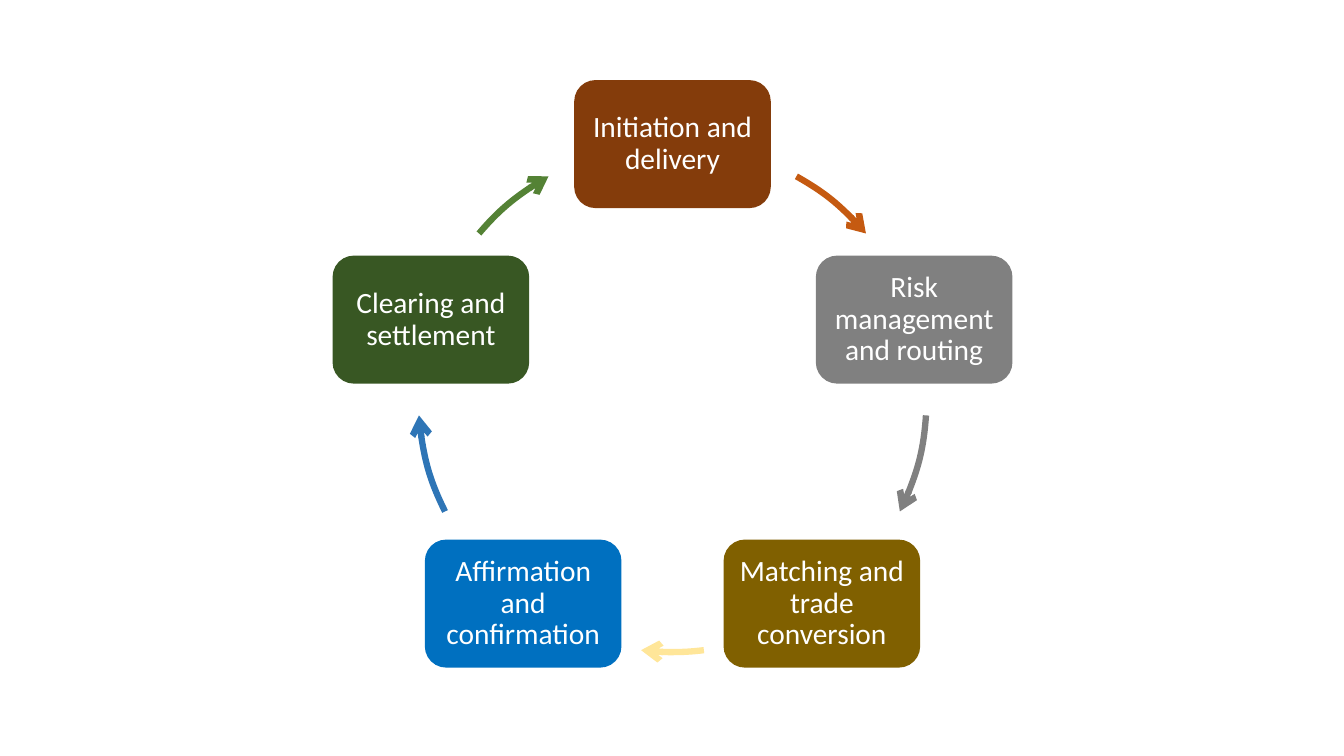
import math

from lxml import etree
from pptx import Presentation
from pptx.dml.color import RGBColor
from pptx.enum import shapes, text
from pptx.oxml.ns import qn
from pptx.util import Inches, Pt

# Cycle geometry, in inches; angles run clockwise from the top
CENTER_X, CENTER_Y, RADIUS = 6.67, 3.95, 2.52
BOX_WIDTH, BOX_HEIGHT = 1.95, 1.27

# Label, box colour, arrow colour, arrow start and end angles
STAGES = [
    ("Initiation and delivery", "843C0B", "C55A11", 29.2, 49.6),
    ("Risk management and routing", "808080", "808080", 93.9, 116.5),
    ("Matching and trade conversion", "806000", "FFE699", 172.9, 187.1),
    ("Affirmation and confirmation", "0070C0", "2E75B6", 243.5, 266.1),
    ("Clearing and settlement", "385723", "548235", 310.4, 330.8),
]


def color(hex_value):
    return RGBColor.from_string(hex_value)


def add_stage(page, label, fill, angle):
    """Add a rounded box centred on the circle at the given angle."""
    left = CENTER_X + RADIUS * math.sin(math.radians(angle)) - BOX_WIDTH / 2
    top = CENTER_Y - RADIUS * math.cos(math.radians(angle)) - BOX_HEIGHT / 2
    box = page.shapes.add_shape(
        shapes.MSO_SHAPE.ROUNDED_RECTANGLE,
        Inches(left), Inches(top), Inches(BOX_WIDTH), Inches(BOX_HEIGHT))
    box.shadow.inherit = False
    box.fill.solid()
    box.fill.fore_color.rgb = color(fill)
    box.line.fill.background()

    frame = box.text_frame
    frame.word_wrap = True
    frame.vertical_anchor = text.MSO_ANCHOR.MIDDLE
    frame.margin_left = frame.margin_right = Inches(0.09)
    frame.margin_top = frame.margin_bottom = Inches(0.09)
    para = frame.paragraphs[0]
    para.text = label
    para.alignment = text.PP_ALIGN.CENTER
    para.line_spacing = 0.9
    para.font.name = "Calibri"
    para.font.size = Pt(21)
    para.font.color.rgb = color("FFFFFF")


def add_arc_arrow(page, line_color, start, end):
    """Add an arc of the circle with an arrowhead at its end."""
    arc = page.shapes.add_shape(
        shapes.MSO_SHAPE.ARC,
        Inches(CENTER_X - RADIUS), Inches(CENTER_Y - RADIUS),
        Inches(2 * RADIUS), Inches(2 * RADIUS))
    # Arc angles start at three o'clock; one degree is 0.6 adjustment units
    for index, angle in enumerate((start, end)):
        arc.adjustments[index] = (angle - 90) % 360 * 0.6
    arc.shadow.inherit = False
    arc.fill.background()
    arc.line.color.rgb = color(line_color)
    arc.line.width = Pt(4.5)
    etree.SubElement(arc.line._get_or_add_ln(), qn("a:tailEnd"), type="arrow")


def main():
    deck = Presentation()
    deck.slide_width, deck.slide_height = Inches(13.33), Inches(7.5)
    page = deck.slides.add_slide(deck.slide_layouts[6])

    # Stages evenly spaced around the circle, each followed by its arrow
    step = 360 / len(STAGES)
    for index, (label, fill, line_color, start, end) in enumerate(STAGES):
        add_stage(page, label, fill, index * step)
        add_arc_arrow(page, line_color, start, end)

    deck.save("out.pptx")


if __name__ == "__main__":
    main()
